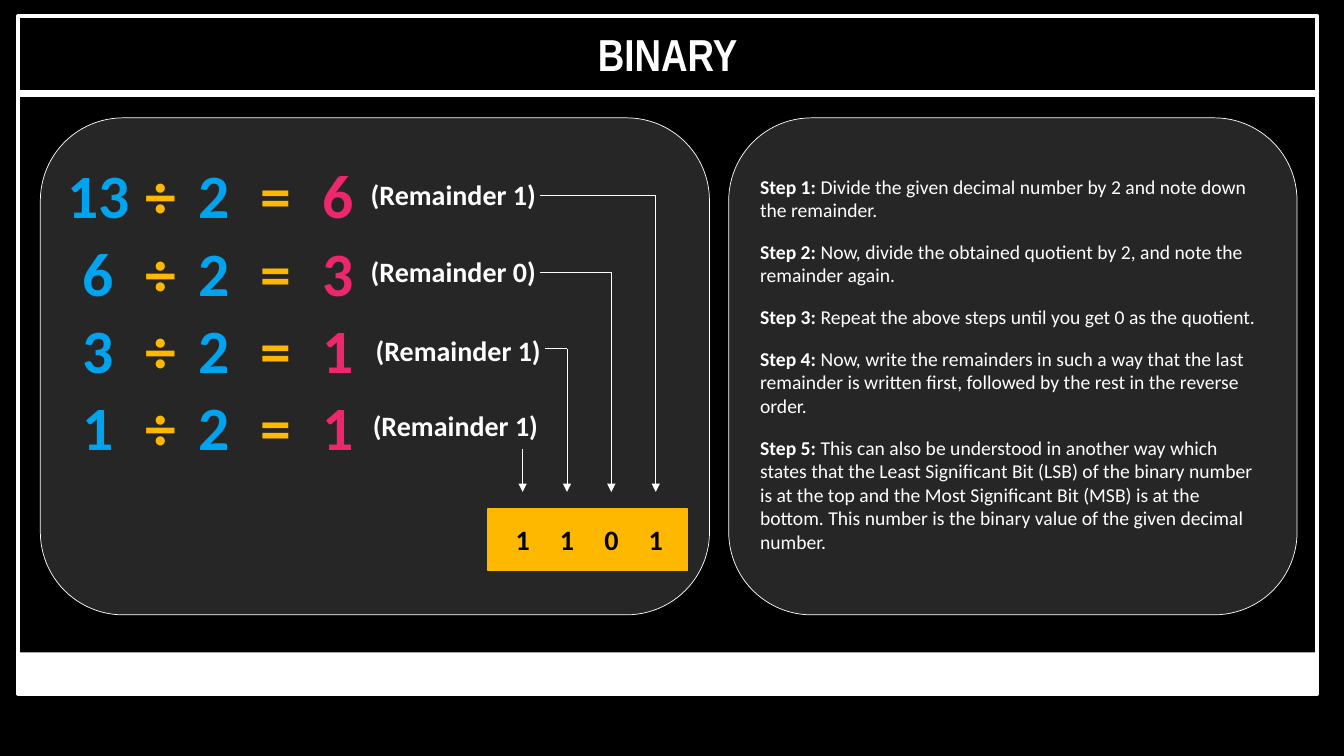
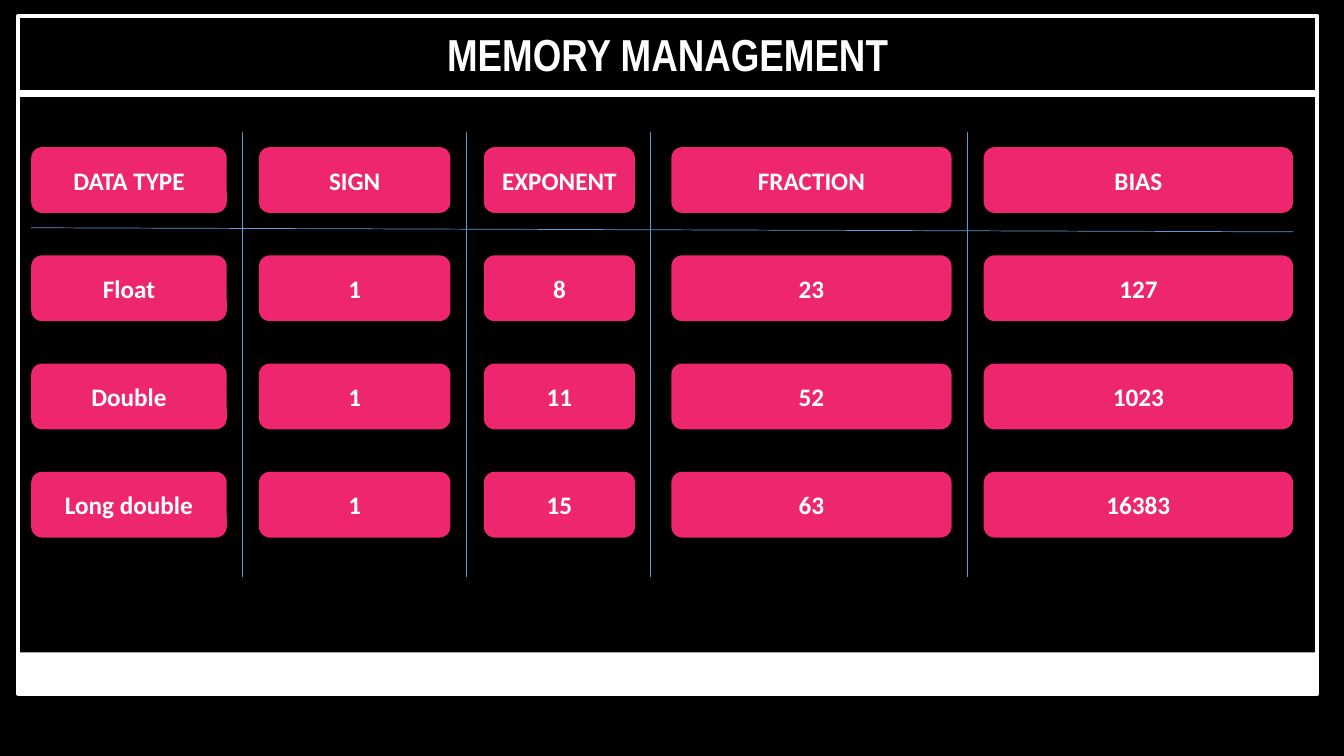
import pptx
import pptx.util
import pptx.dml.color
import pptx.enum.shapes
import pptx.enum.text
import pptx.oxml.ns
from lxml import etree

Pt = pptx.util.Pt
SHAPE = pptx.enum.shapes.MSO_SHAPE
ALIGN = pptx.enum.text.PP_ALIGN
ANCHOR = pptx.enum.text.MSO_ANCHOR
qn = pptx.oxml.ns.qn

# Shared look
COLORS = {"black": "000000", "white": "FFFFFF", "panel": "262626", "blue": "00A3EE",
          "yellow": "FEB800", "pink": "EE266E", "grid": "5B9BD5"}
BODY_FONT, TITLE_FONT = "Calibri", "Arial Narrow"

# Binary slide: dividend, quotient, remainder, left and top of the remainder label
DIVISIONS = [
    ("13", "6", "1", 250, 123),
    ("6", "3", "0", 250, 178),
    ("3", "1", "1", 253.5, 234.5),
    ("1", "1", "1", 251.5, 288.5),
]
SYMBOL_LEFTS = [22.3, 67, 105, 149, 193.7]
SYMBOL_COLORS = ["blue", "yellow", "blue", "yellow", "pink"]
DIVISION_TOP, DIVISION_STEP = 108.7, 55.3
DIGIT_X, DIGIT_STEP, DIGIT_TOP = 373.3, 31.7, 369.5
ELBOW_TOP, ELBOW_STEP = 139.7, 54.7
ARROW_END = 351.4
PANELS = [(28.8, 478), (520.5, 406)]
STEPS = [
    ("Step 1:", " Divide the given decimal number by 2 and note down the remainder."),
    ("Step 2:", " Now, divide the obtained quotient by 2, and note the remainder again."),
    ("Step 3:", " Repeat the above steps until you get 0 as the quotient."),
    ("Step 4:", " Now, write the remainders in such a way that the last remainder is written first, "
                "followed by the rest in the reverse order."),
    ("Step 5:", " This can also be understood in another way which states that the Least Significant "
                "Bit (LSB) of the binary number is at the top and the Most Significant Bit (MSB) is at "
                "the bottom. This number is the binary value of the given decimal number."),
]

# Memory slide: left, width and cells of each column
COLUMNS = [
    (22.3, 139.7, ["DATA TYPE", "Float", "Double", "Long double"]),
    (185, 136.8, ["SIGN", "1", "1", "1"]),
    (345.6, 108, ["EXPONENT", "8", "11", "15"]),
    (479.5, 200.2, ["FRACTION", "23", "52", "63"]),
    (702.7, 221, ["BIAS", "127", "1023", "16383"]),
]
CELL_TOP, CELL_STEP, CELL_HEIGHT = 105.1, 77.3, 47
RULE_GAP = 11


def rgb(name):
    return pptx.dml.color.RGBColor.from_string(COLORS[name])


def style(font, size, color="white", bold=True, name=BODY_FONT):
    font.size, font.bold, font.name = Pt(size), bold, name
    font.color.rgb = rgb(color)


def place(sp, left, top, width, height):
    sp.left, sp.top, sp.width, sp.height = Pt(left), Pt(top), Pt(width), Pt(height)


def write(sp, text, size, color="white", name=BODY_FONT):
    """Fill a shape with one centred bold line."""
    tf = sp.text_frame
    tf.word_wrap = True
    tf.text = text
    p = tf.paragraphs[0]
    p.alignment = ALIGN.CENTER
    style(p.runs[0].font, size, color, name=name)


def add_text(s, text, left, top, width, height, size, color="white"):
    write(s.shapes.add_textbox(Pt(left), Pt(top), Pt(width), Pt(height)), text, size, color)


def add_box(s, kind, left, top, width, height, fill=None, line=None, weight=1):
    sp = s.shapes.add_shape(kind, Pt(left), Pt(top), Pt(width), Pt(height))
    sp.shadow.inherit = False
    if fill:
        sp.fill.solid()
        sp.fill.fore_color.rgb = rgb(fill)
    else:
        sp.fill.background()
    if line:
        sp.line.color.rgb = rgb(line)
        sp.line.width = Pt(weight)
    else:
        sp.line.fill.background()
    return sp


def add_line(s, x1, y1, x2, y2, color="white", weight=0.5, arrow=False):
    cn = s.shapes.add_connector(pptx.enum.shapes.MSO_CONNECTOR.STRAIGHT,
                                Pt(x1), Pt(y1), Pt(x2), Pt(y2))
    cn.line.color.rgb = rgb(color)
    cn.line.width = Pt(weight)
    if arrow:
        etree.SubElement(cn.line._get_or_add_ln(), qn("a:tailEnd"), type="triangle")
    etree.SubElement(cn._element.spPr, qn("a:effectLst"))


def add_slide(prs, layout, title):
    """Slide with the shared frame, footer band, rule and title."""
    s = prs.slides.add_slide(prs.slide_layouts[layout])
    add_box(s, SHAPE.RECTANGLE, 13, 11.5, 928, 484, line="white", weight=3)
    add_box(s, SHAPE.RECTANGLE, 11.5, 466, 929.5, 29, fill="white")
    add_line(s, 11.5, 67, 941, 67, weight=5)
    sp = s.shapes.title
    place(sp, 176, 15, 602, 46)
    write(sp, title, 32, name=TITLE_FONT)
    sp.text_frame.auto_size = pptx.enum.text.MSO_AUTO_SIZE.NONE
    return s


def add_steps(s):
    body = s.placeholders[1]
    s.shapes._spTree.append(body._element)  # bring in front of the panel
    place(body, 535.7, 121, 377.3, 281)
    tf = body.text_frame
    tf.word_wrap = True
    tf.auto_size = pptx.enum.text.MSO_AUTO_SIZE.NONE
    tf.vertical_anchor = ANCHOR.TOP
    for i, parts in enumerate(STEPS):
        p = tf.add_paragraph() if i else tf.paragraphs[0]
        pPr = p._p.get_or_add_pPr()
        pPr.set("marL", "0")
        pPr.set("indent", "0")
        etree.SubElement(pPr, qn("a:buNone"))
        p.space_before = Pt(13 if i else 0)
        for text, bold in zip(parts, (True, False)):
            r = p.add_run()
            r.text = text
            style(r.font, 14, bold=bold)


def build_binary(prs):
    s = add_slide(prs, 1, "BINARY")
    for left, width in PANELS:
        add_box(s, SHAPE.ROUNDED_RECTANGLE, left, 84.2, width, 355, "panel", "white", 0.5)
    add_steps(s)
    add_box(s, SHAPE.RECTANGLE, 348.5, 363.6, 142.5, 44, "yellow", "yellow")

    last = len(DIVISIONS) - 1
    for i, (dividend, quotient, remainder, left, top) in enumerate(DIVISIONS):
        # Division and its remainder
        symbols = [dividend, "÷", "2", "=", quotient]
        for text, x, color in zip(symbols, SYMBOL_LEFTS, SYMBOL_COLORS):
            add_text(s, text, x, DIVISION_TOP + i * DIVISION_STEP, 95.8, 60.5, 44, color)
        add_text(s, f"(Remainder {remainder})", left, top, 147.6, 31.5, 20)

        # Arrow down to the binary digit, last remainder first
        x = DIGIT_X + (last - i) * DIGIT_STEP
        y = ELBOW_TOP + i * ELBOW_STEP
        if i < last:
            add_line(s, left + 135.5, y, x, y)
        else:
            y = 320.4
        add_line(s, x, y, x, ARROW_END, arrow=True)
        add_text(s, remainder, x - 16.2, DIGIT_TOP, 32.4, 31.5, 20, "black")


def build_memory(prs):
    s = add_slide(prs, 5, "MEMORY MANAGEMENT")
    for left, width, cells in COLUMNS:
        for row, text in enumerate(cells):
            sp = add_box(s, SHAPE.ROUNDED_RECTANGLE, left, CELL_TOP + row * CELL_STEP,
                         width, CELL_HEIGHT, "pink")
            sp.text_frame.vertical_anchor = ANCHOR.MIDDLE
            write(sp, text, 18)

    # Rules between columns and under the header
    for left, width, _ in COLUMNS[:-1]:
        x = left + width + RULE_GAP
        add_line(s, x, 94.3, x, 412.5, "grid")
    add_line(s, 22.3, 162.7, 923.7, 165.6, "grid")


def main():
    prs = pptx.Presentation()
    prs.slide_width, prs.slide_height = Pt(960), Pt(540)
    fill = prs.slide_master.background.fill
    fill.solid()
    fill.fore_color.rgb = rgb("black")
    build_binary(prs)
    build_memory(prs)
    prs.save("out.pptx")


if __name__ == "__main__":
    main()
